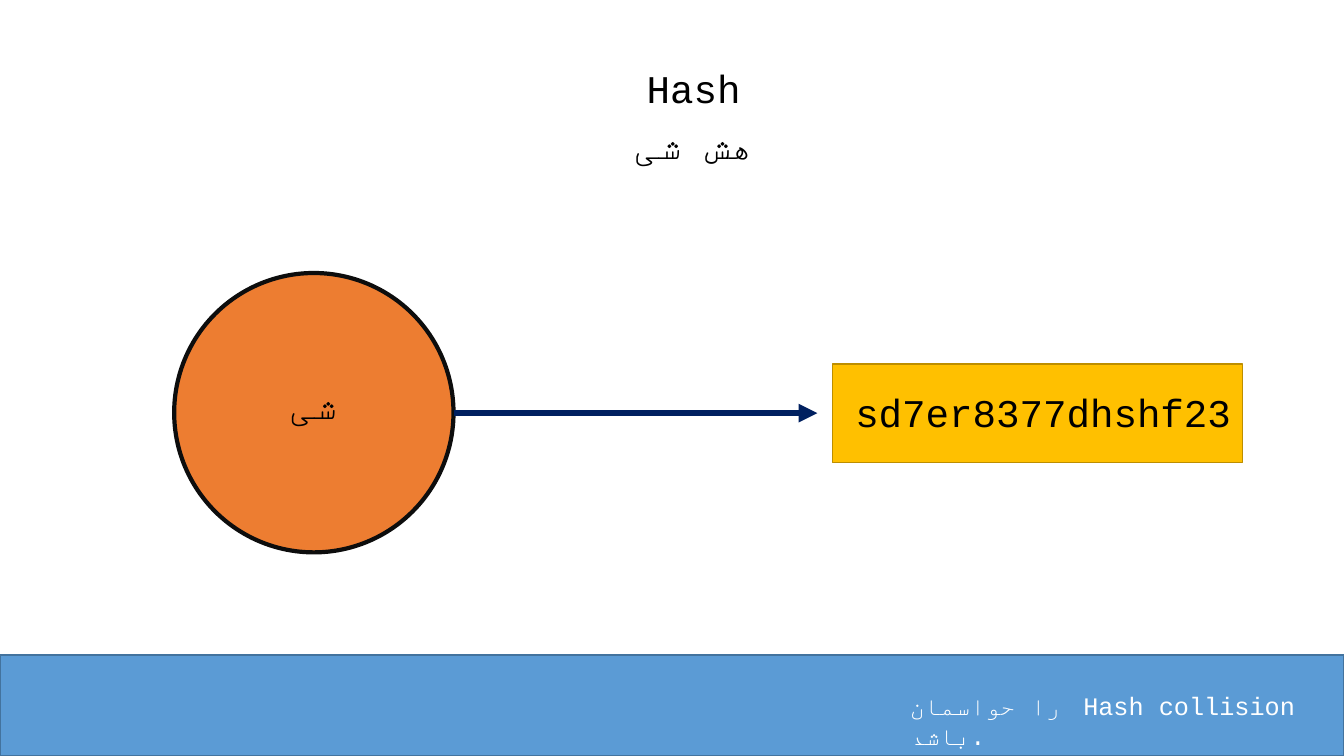
from lxml import etree
from pptx import Presentation
from pptx.dml.color import RGBColor
from pptx.enum.shapes import MSO_CONNECTOR as Connector, MSO_SHAPE as Shape
from pptx.enum.text import PP_ALIGN as Align
from pptx.oxml.ns import qn
from pptx.util import Cm, Pt

BLACK = RGBColor(0x00, 0x00, 0x00)
WHITE = RGBColor(0xFF, 0xFF, 0xFF)
ORANGE = RGBColor(0xED, 0x7D, 0x31)
OUTLINE = RGBColor(0x0D, 0x0D, 0x0D)
NAVY = RGBColor(0x00, 0x20, 0x60)
GOLD = RGBColor(0xFF, 0xC0, 0x00)
DARK_GOLD = RGBColor(0xBD, 0x8E, 0x00)
BLUE = RGBColor(0x5B, 0x9B, 0xD5)
DARK_BLUE = RGBColor(0x43, 0x73, 0x9E)
FONT = "Courier New"


def add_panel(page, kind, box, fill, line, weight):
    """Draw a filled and outlined shape in a box given in centimetres."""
    panel = page.shapes.add_shape(kind, *map(Cm, box))
    panel.shadow.inherit = False
    panel.fill.solid()
    panel.fill.fore_color.rgb = fill
    panel.line.color.rgb = line
    panel.line.width = Pt(weight)


def add_span(para, text, size, color):
    """Add one run of text, with the same font for Latin and Persian letters."""
    span = para.add_run()
    span.text = text
    span.font.name = FONT
    span.font.size = Pt(size)
    span.font.color.rgb = color
    etree.SubElement(span._r.get_or_add_rPr(), qn("a:cs"), typeface=FONT)


def add_text_frame(page, box):
    """Add a wrapping text box and return its frame."""
    frame = page.shapes.add_textbox(*map(Cm, box)).text_frame
    frame.word_wrap = True
    return frame


def add_centred_text(page, box, lines):
    """Write centred right-to-left paragraphs in a box."""
    frame = add_text_frame(page, box)
    for index, line in enumerate(lines):
        para = frame.add_paragraph() if index else frame.paragraphs[0]
        para.alignment = Align.CENTER
        para.line_spacing = 0.9
        para.space_before = Pt(10)
        para._p.get_or_add_pPr().set("rtl", "1")
        add_span(para, line, 28, BLACK)


def add_object(page, box):
    """Draw the object's circle and its label."""
    left, top, width, height = box
    add_panel(page, Shape.OVAL, box, ORANGE, OUTLINE, 3)
    add_centred_text(page, (left, top + 2.72, width, 1.63), ["شی"])


def add_hash_value(page, box):
    """Draw the hash value's rectangle and its text."""
    left, top, width, height = box
    add_panel(page, Shape.RECTANGLE, box, GOLD, DARK_GOLD, 1)
    add_centred_text(page, (left + 0.14, top + 0.63, width, 1.42), ["sd7er8377dhshf23"])


def add_arrow(page, start, end, middle):
    """Draw the horizontal arrow from the object to its hash value."""
    arrow = page.shapes.add_connector(
        Connector.STRAIGHT, Cm(start), Cm(middle), Cm(end), Cm(middle)
    )
    arrow.line.color.rgb = NAVY
    arrow.line.width = Pt(4.5)
    etree.SubElement(arrow.line._get_or_add_ln(), qn("a:tailEnd"), type="triangle")
    etree.SubElement(arrow._element.spPr, qn("a:effectLst"))


def add_footer(page, box):
    """Draw the footer band with its two-part reminder."""
    left, top, width, height = box
    add_panel(page, Shape.RECTANGLE, box, BLUE, DARK_BLUE, 1)
    notes = [(27.05, 6.25, "Hash collision"), (22.68, 4.67, "را حواسمان باشد.")]
    for offset, note_width, text in notes:
        frame = add_text_frame(page, (left + offset, top + 0.76, note_width, 1.02))
        add_span(frame.paragraphs[0], text, 18, WHITE)


def main():
    """Build the hash slide and save it."""
    deck = Presentation()
    deck.slide_width, deck.slide_height = Cm(33.87), Cm(19.05)
    page = deck.slides.add_slide(deck.slide_layouts[6])
    add_centred_text(page, (4.78, 1.63, 25.4, 2.72), ["Hash", "هش شی"])
    add_object(page, (4.39, 6.88, 7.04, 7.04))
    add_arrow(page, 11.43, 20.6, 10.41)
    add_hash_value(page, (20.98, 9.17, 10.34, 2.49))
    add_footer(page, (0, 16.51, 33.87, 2.54))
    deck.save("out.pptx")


if __name__ == "__main__":
    main()
